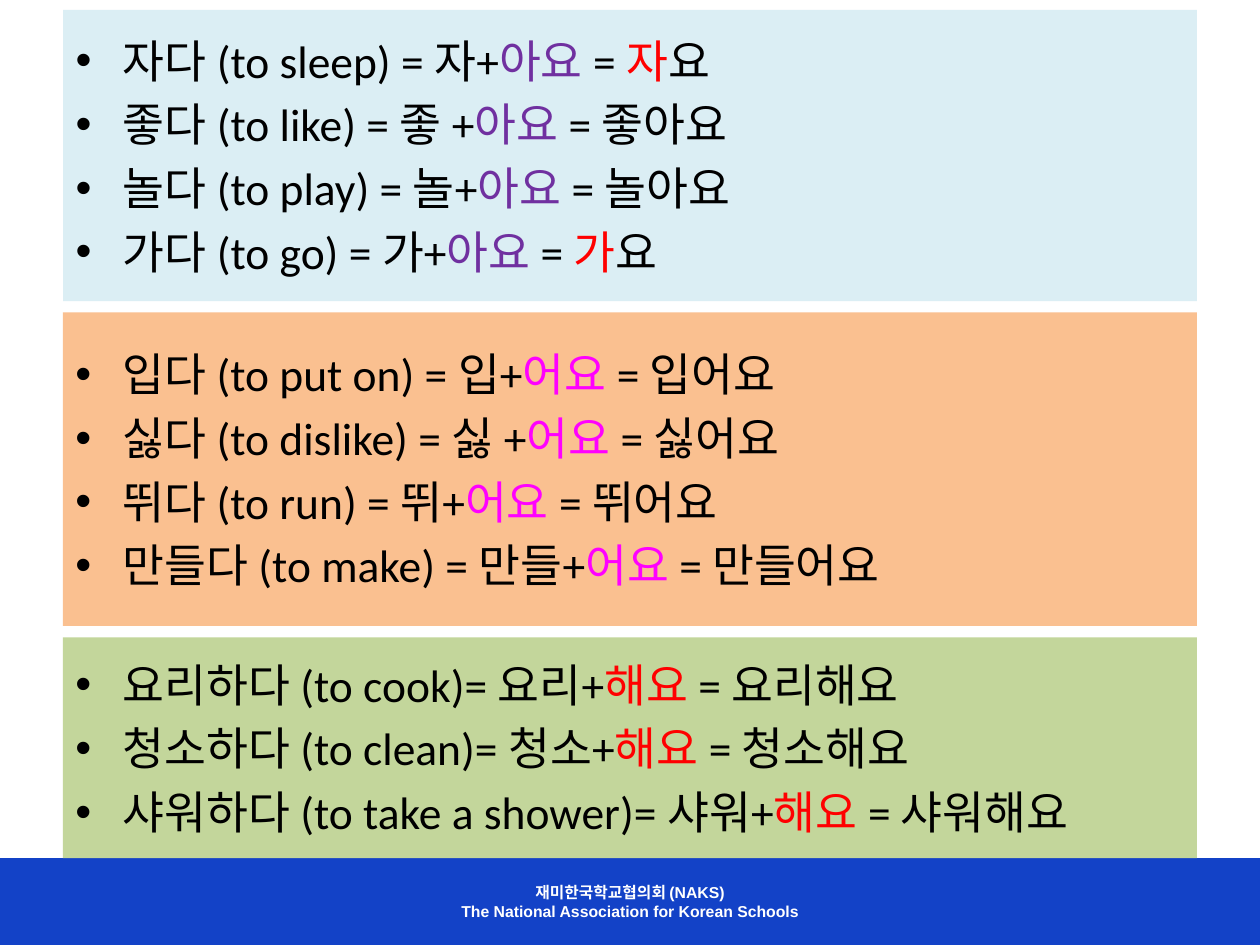
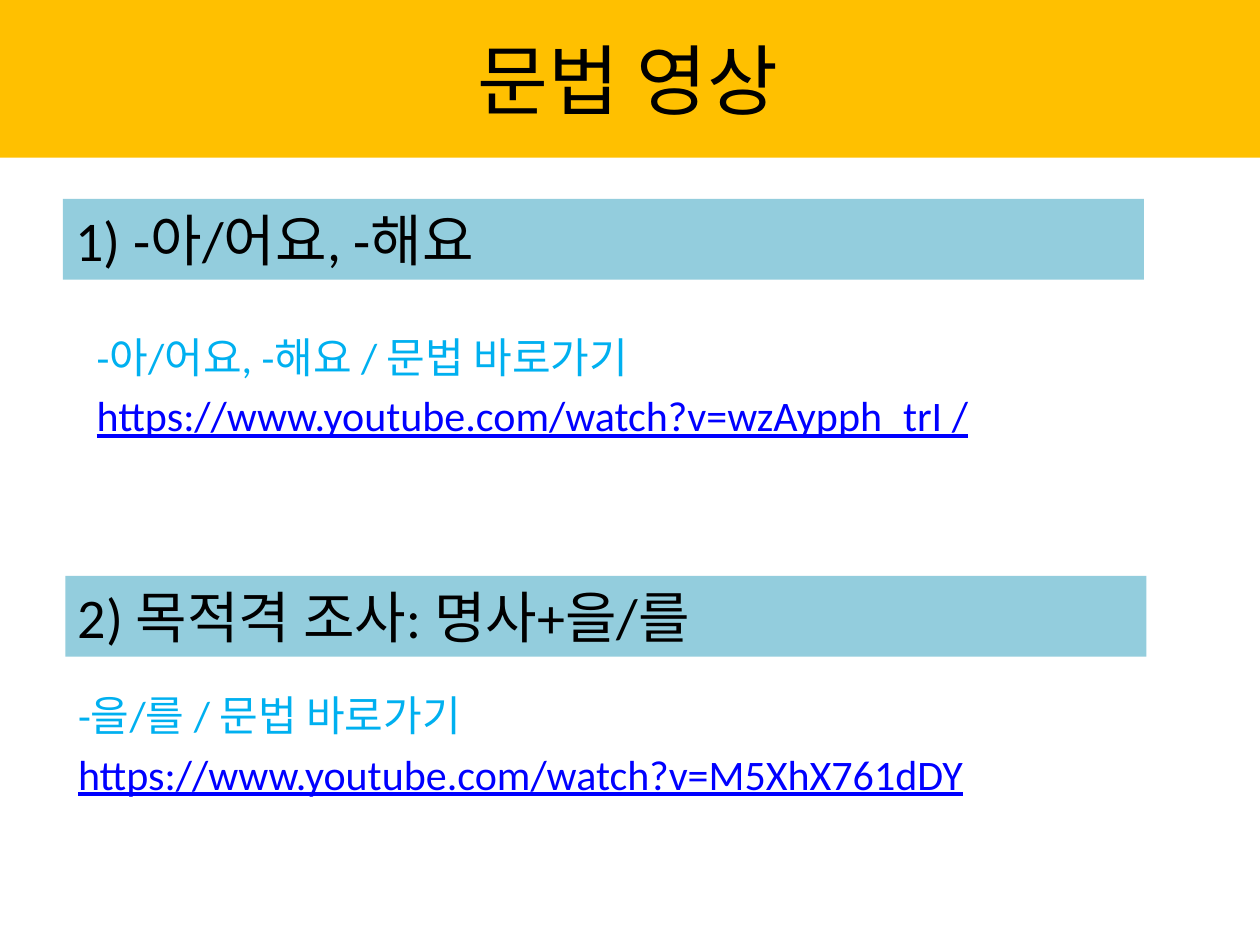
from lxml import etree
from pptx import Presentation
from pptx.dml.color import RGBColor
from pptx.enum import shapes, text
from pptx.oxml import ns
from pptx.util import Cm, Pt

BLACK, WHITE, RED = "000000", "FFFFFF", "FF0000"
SKY, LINK = "00B0F0", "0000FF"
TITLE_BAND, HEADING_BAND, FOOTER_BAND = "FFC000", "93CDDD", "1342C7"

POLITE = "요"
PANELS = [
    ("DBEEF4", 5.87, "아요", "7030A0", [
        ("자다 (to sleep) = 자+", "자요"),
        ("좋다 (to like) = 좋 +", "좋아요"),
        ("놀다 (to play) = 놀+", "놀아요"),
        ("가다 (to go) = 가+", "가요"),
    ]),
    ("FAC090", 6.32, "어요", "FF00FF", [
        ("입다 (to put on) = 입+", "입어요"),
        ("싫다 (to dislike) = 싫 +", "싫어요"),
        ("뛰다 (to run) = 뛰+", "뛰어요"),
        ("만들다 (to make) = 만들+", "만들어요"),
    ]),
    ("C3D69B", 4.45, "해요", RED, [
        ("요리하다 (to cook)= 요리+", "요리해요"),
        ("청소하다 (to clean)= 청소+", "청소해요"),
        ("샤워하다 (to take a shower)= 샤워+", "샤워해요"),
    ]),
]
FOOTER = ["재미한국학교협의회 (NAKS)", "The National Association for Korean Schools"]

VIDEO_TITLE = "문법 영상"
VIDEOS = [
    ("1) -아/어요, -해요", (1.27, 4.01),
     "-아/어요, -해요 / 문법 바로가기",
     "https://www.youtube.com/watch?v=wzAypph_trI /", (1.7, 6.55)),
    ("2) 목적격 조사: 명사+을/를", (1.32, 11.61),
     "-을/를 / 문법 바로가기",
     "https://www.youtube.com/watch?v=M5XhX761dDY", (1.32, 13.77)),
]

MARGIN, CONTENT_WIDTH = 1.27, 22.86
PANEL_TOP, PANEL_GAP = 0.2, 0.23
HANG = Cm(0.95)


def rgb(value):
    return RGBColor.from_string(value)


def place(part, left, top, width, height):
    part.left, part.top, part.width, part.height = map(Cm, (left, top, width, height))


def paint(part, fill):
    part.fill.solid()
    part.fill.fore_color.rgb = rgb(fill)
    part.line.fill.background()


def band(slide, box, fill):
    part = slide.shapes.add_shape(shapes.MSO_SHAPE.RECTANGLE, *map(Cm, box))
    part.shadow.inherit = False
    paint(part, fill)
    return part


def write(part, lines, size, font="Calibri", bold=False, align=text.PP_ALIGN.LEFT,
          anchor=text.MSO_ANCHOR.MIDDLE, bullet=False, gap=0):
    frame = part.text_frame
    frame.word_wrap = True
    frame.auto_size = text.MSO_AUTO_SIZE.NONE
    frame.vertical_anchor = anchor
    for index, line in enumerate(lines):
        paragraph = frame.add_paragraph() if index else frame.paragraphs[0]
        properties = paragraph._p.get_or_add_pPr()
        properties.set("marL", str(HANG if bullet else 0))
        properties.set("indent", str(-HANG if bullet else 0))
        if bullet:
            etree.SubElement(properties, ns.qn("a:buFont")).set("typeface", "Arial")
            etree.SubElement(properties, ns.qn("a:buChar")).set("char", "•")
        else:
            etree.SubElement(properties, ns.qn("a:buNone"))
        paragraph.alignment = align
        paragraph.space_before = Pt(gap * size if index else 0)
        for words, color, underline in line:
            run = paragraph.add_run()
            run.text = words
            run.font.size = Pt(size)
            run.font.name = font
            run.font.bold = bold
            run.font.underline = underline
            run.font.color.rgb = rgb(color)


def conjugation(lead, result, ending, color):
    runs = [(lead, BLACK, False), (ending + " ", color, False)]
    if ending in result:
        return runs + [("= " + result, BLACK, False)]
    return runs + [("= ", BLACK, False), (result.removesuffix(POLITE), RED, False),
                   (POLITE, BLACK, False)]


def build_verbs(deck):
    slide = deck.slides.add_slide(deck.slide_layouts[1])
    title, body = slide.placeholders
    title._element.getparent().remove(title._element)

    footer = band(slide, (0, 17.3, 25.4, 1.75), FOOTER_BAND)
    write(footer, [[(line, WHITE, False)] for line in FOOTER], 9, "Arial", True,
          text.PP_ALIGN.CENTER)

    top = PANEL_TOP
    for index, (fill, height, ending, color, verbs) in enumerate(PANELS):
        box = MARGIN, top, CONTENT_WIDTH, height
        if index:
            panel = band(slide, box, fill)
        else:
            panel = body
            place(panel, *box)
            paint(panel, fill)
        write(panel, [conjugation(*verb, ending, color) for verb in verbs], 26,
              bullet=True, gap=0.2)
        top += height + PANEL_GAP


def build_videos(deck):
    slide = deck.slides.add_slide(deck.slide_layouts[1])
    title, body = slide.placeholders
    place(title, -0.08, 0, 25.48, 3.18)
    paint(title, TITLE_BAND)
    write(title, [[(VIDEO_TITLE, BLACK, False)]], 44, align=text.PP_ALIGN.CENTER)

    for heading, heading_at, caption, address, links_at in VIDEOS:
        heading_band = band(slide, (*heading_at, 21.79, 1.63), HEADING_BAND)
        write(heading_band, [[(heading, BLACK, False)]], 32, anchor=text.MSO_ANCHOR.TOP)
        box = *links_at, CONTENT_WIDTH, 3
        if heading == VIDEOS[-1][0]:
            links = body
            place(links, *box)
        else:
            links = slide.shapes.add_textbox(*map(Cm, box))
        write(links, [[(caption, SKY, False)], [(address, LINK, True)]], 24,
              anchor=text.MSO_ANCHOR.TOP, gap=0.2)


def main():
    deck = Presentation()
    deck.slide_width, deck.slide_height = Cm(25.4), Cm(19.05)
    build_verbs(deck)
    build_videos(deck)
    deck.save("out.pptx")


if __name__ == "__main__":
    main()
